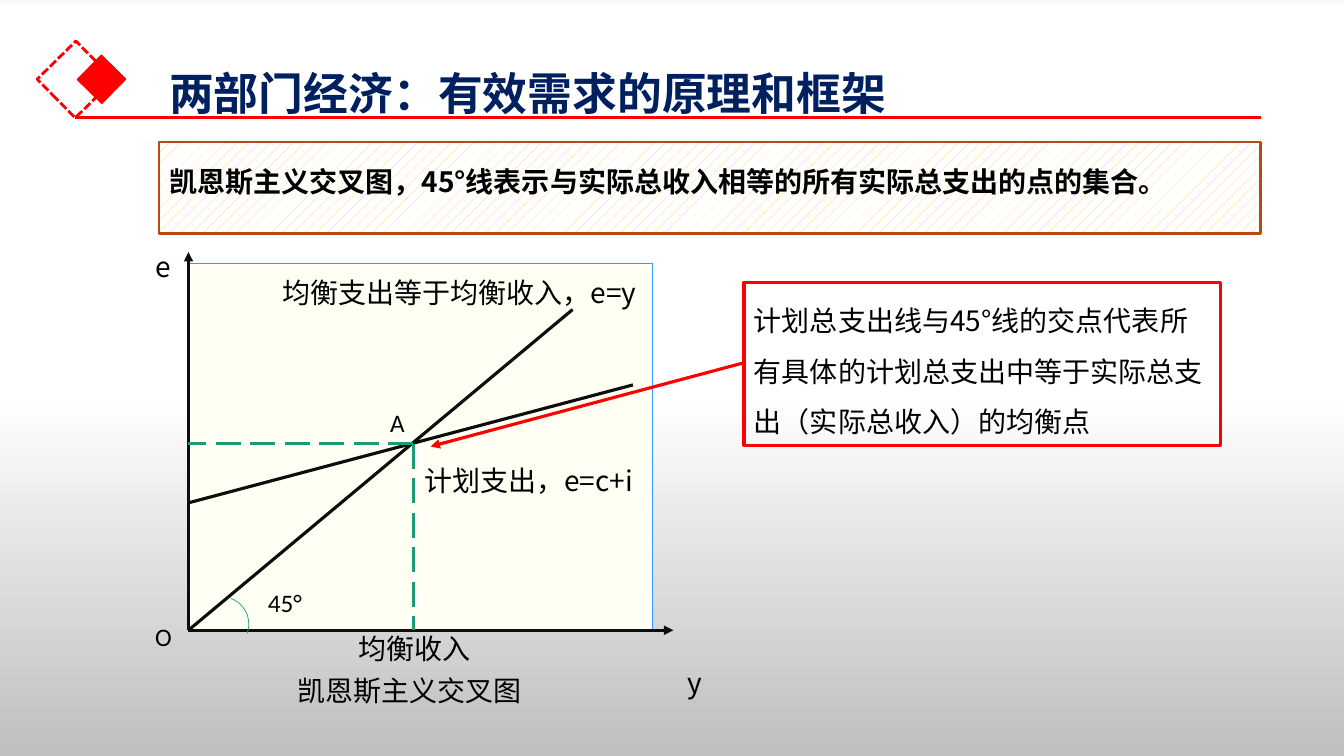
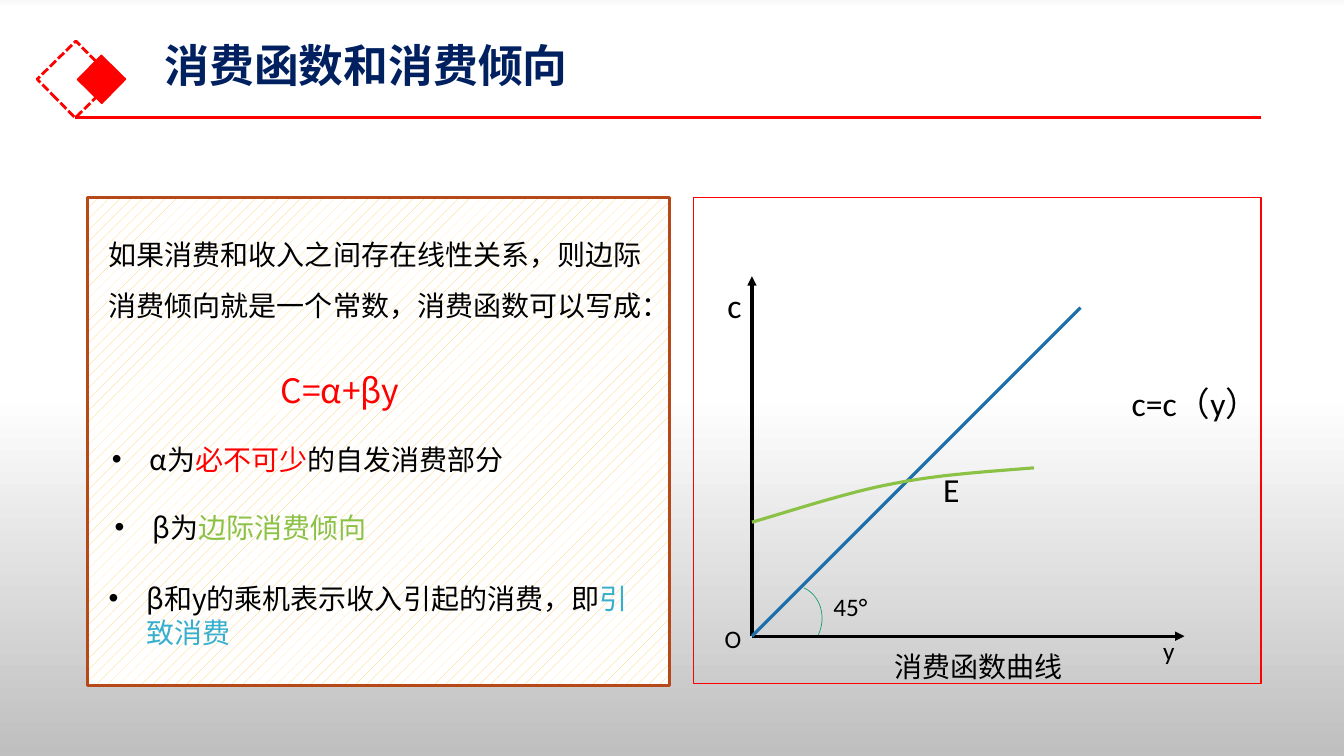
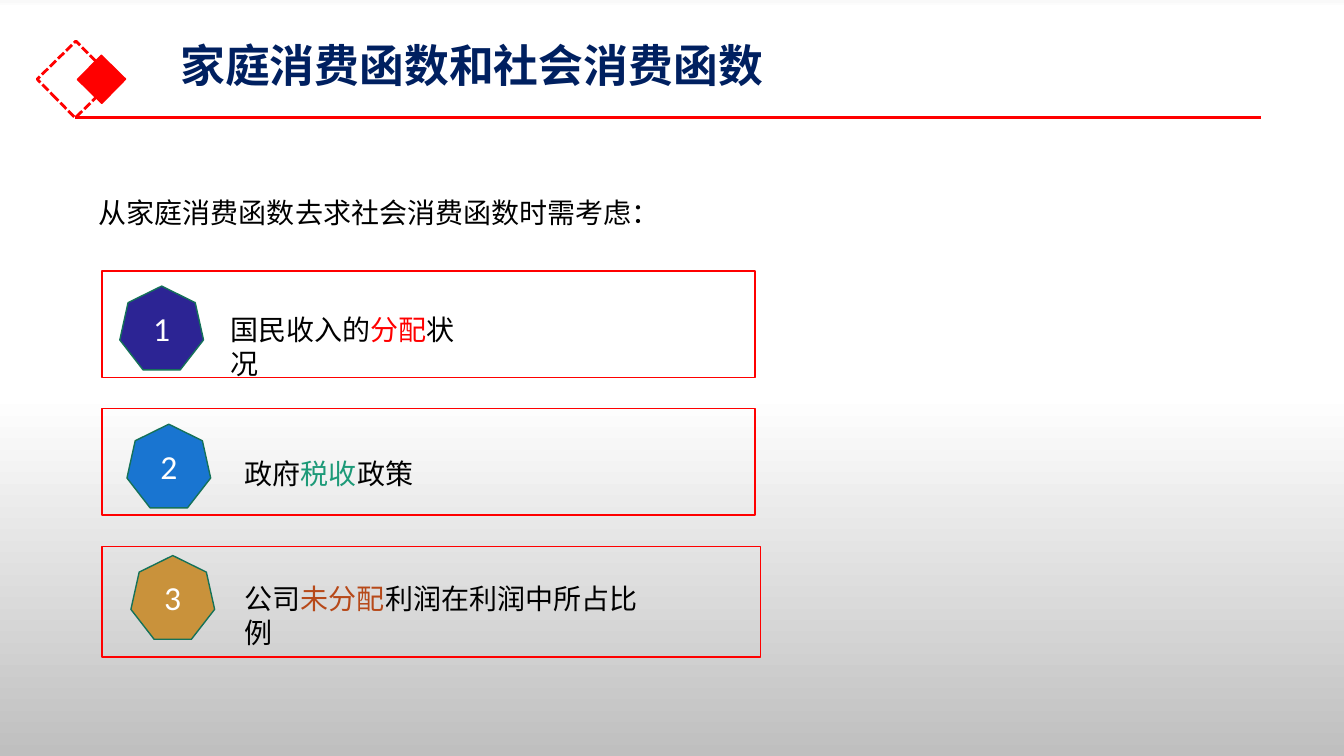
from copy import deepcopy

from lxml.etree import SubElement
from pptx import Presentation
from pptx.dml.color import RGBColor
from pptx.enum.dml import MSO_LINE as Dash, MSO_PATTERN as Pattern
from pptx.enum.shapes import MSO_CONNECTOR as Connector, MSO_SHAPE as Shape
from pptx.enum.text import MSO_ANCHOR as Anchor, MSO_AUTO_SIZE as AutoSize, PP_ALIGN as Align
from pptx.oxml.ns import qn
from pptx.util import Cm, Pt

# Shared colours and fonts
RED = RGBColor(0xFF, 0x00, 0x00)
NAVY = RGBColor(0x00, 0x20, 0x60)
BLACK = RGBColor(0x00, 0x00, 0x00)
WHITE = RGBColor(0xFF, 0xFF, 0xFF)
INK = RGBColor(0x0D, 0x0D, 0x0D)
RUST = RGBColor(0xB7, 0x49, 0x19)
SAND = RGBColor(0xFF, 0xCC, 0x66)
IVORY = RGBColor(0xFF, 0xFF, 0xF3)
SKY = RGBColor(0x33, 0x99, 0xFF)
TEAL = RGBColor(0x1D, 0x9A, 0x78)
DARK_TEAL = RGBColor(0x15, 0x72, 0x59)
BLUE = RGBColor(0x1D, 0x6F, 0xA9)
GREEN = RGBColor(0x8B, 0xC1, 0x45)
CYAN = RGBColor(0x36, 0xAF, 0xCE)
INDIGO = RGBColor(0x2C, 0x24, 0x94)
AZURE = RGBColor(0x19, 0x75, 0xD1)
OCHRE = RGBColor(0xC9, 0x92, 0x3B)
PALE = RGBColor(0xF9, 0xF9, 0xF9)
GREY = RGBColor(0xBF, 0xBF, 0xBF)

HAN = "Noto Sans CJK SC"
LATIN = "Calibri"
BACKDROP = [(0, PALE), (0.01, WHITE), (0.52, WHITE), (1, GREY)]


# Text
def add_span(para, text, size=20, color=BLACK, font=HAN, bold=False):
    span = para.add_run()
    span.text = text
    span.font.size = Pt(size)
    span.font.bold = bold
    span.font.color.rgb = color
    span.font.name = font
    SubElement(span.font._element, qn("a:ea")).set("typeface", HAN)


def add_bullet(para, indent):
    props = para._p.get_or_add_pPr()
    props.set("marL", str(indent))
    props.set("indent", str(-indent))
    SubElement(props, qn("a:buFont")).set("typeface", "Arial")
    SubElement(props, qn("a:buChar")).set("char", "•")


def add_text(page, left, top, width, content, size=20, font=HAN,
             color=BLACK, bold=False, spacing=None, bullet=False):
    """Content is a string, or a list of (text, colour) runs."""
    box = page.shapes.add_textbox(Cm(left), Cm(top), Cm(width), Cm(1.12))
    frame = box.text_frame
    frame.word_wrap = True
    frame.auto_size = AutoSize.SHAPE_TO_FIT_TEXT
    para = frame.paragraphs[0]
    if spacing:
        para.line_spacing = spacing
    if bullet:
        add_bullet(para, Cm(0.95))
    runs = [(content, color)] if isinstance(content, str) else content
    for text, run_color in runs:
        add_span(para, text, size, run_color, font, bold)


# Shapes and lines
def style_line(line, color, weight, dash=None):
    line.color.rgb = color
    line.width = Pt(weight)
    if dash:
        line.dash_style = dash


def add_figure(page, kind, left, top, width, height, color, weight,
               fill=None, dash=None, turn=0):
    figure = page.shapes.add_shape(kind, Cm(left), Cm(top), Cm(width), Cm(height))
    figure.shadow.inherit = False
    figure.rotation = turn
    if fill is None:
        figure.fill.background()
    else:
        figure.fill.solid()
        figure.fill.fore_color.rgb = fill
    style_line(figure.line, color, weight, dash)
    return figure


def add_hatched_panel(page, left, top, width, height):
    panel = add_figure(page, Shape.RECTANGLE, left, top, width, height, RUST, 1.75)
    panel.fill.patterned()
    panel.fill.pattern = Pattern.PERCENT_10
    panel.fill.fore_color.rgb = SAND
    panel.fill.back_color.rgb = WHITE


def add_line(page, start, end, color, weight=2.25, dash=None, arrow=False):
    line = page.shapes.add_connector(
        Connector.STRAIGHT, *(Cm(value) for value in (*start, *end)))
    style_line(line.line, color, weight, dash)
    props = line._element.spPr
    if arrow:
        SubElement(props.find(qn("a:ln")), qn("a:tailEnd")).set("type", "triangle")
    SubElement(props, qn("a:effectLst"))


def add_axes(page, origin, right, top, color):
    add_line(page, origin, (right, origin[1]), color, arrow=True)
    add_line(page, origin, (origin[0], top), color, arrow=True)


def bezier(points, steps=16):
    """Points along a cubic curve, the first one left out."""
    for step in range(1, steps + 1):
        t = step / steps
        weights = ((1 - t) ** 3, 3 * t * (1 - t) ** 2, 3 * t * t * (1 - t), t ** 3)
        yield tuple(sum(w * point[axis] for w, point in zip(weights, points))
                    for axis in (0, 1))


def add_curve(page, points, color):
    """Points are a start, then two handles and an end for each part."""
    outline = page.shapes.build_freeform(*(Cm(v) for v in points[0]))
    for first in range(0, len(points) - 1, 3):
        outline.add_line_segments(
            [(Cm(x), Cm(y)) for x, y in bezier(points[first:first + 4])], close=False)
    curve = outline.convert_to_shape()
    curve.shadow.inherit = False
    curve.fill.background()
    style_line(curve.line, color, 2.25)


# Parts every slide shares
def set_backdrop(deck):
    master = deck.slide_master
    fill = master.background.fill
    fill.gradient()
    fill.gradient_angle = 270
    stop_list = master.element.find(".//" + qn("a:gsLst"))
    while len(stop_list) < len(BACKDROP):
        stop_list.append(deepcopy(stop_list[0]))
    for stop, (position, color) in zip(fill.gradient_stops, BACKDROP):
        stop.position = position
        stop.color.rgb = color


def add_page(deck, title, left, top):
    page = deck.slides.add_slide(deck.slide_layouts.get_by_name("Title Only"))
    heading = page.shapes.title
    heading.left, heading.top = Cm(left), Cm(top)
    heading.width, heading.height = Cm(29.21), Cm(1.47)
    frame = heading.text_frame
    frame.word_wrap = True
    frame.auto_size = AutoSize.NONE
    frame.vertical_anchor = Anchor.MIDDLE
    para = frame.paragraphs[0]
    para.alignment = Align.LEFT
    para.line_spacing = 0.9
    add_span(para, title, 32, NAVY, bold=True)
    # Diamond emblem and rule
    add_figure(page, Shape.RECTANGLE, 1.22, 1.32, 1.37, 1.37, RED, 2,
               dash=Dash.SQUARE_DOT, turn=45.5)
    add_figure(page, Shape.RECTANGLE, 2.13, 1.57, 0.86, 0.86, RED, 1,
               fill=RED, turn=314.5)
    add_line(page, (1.9, 2.97), (31.78, 2.97), RED)
    return page


# Slides
def add_cross_slide(deck):
    page = add_page(deck, "两部门经济：有效需求的原理和框架", 4.01, 1.68)
    add_hatched_panel(page, 4.01, 3.58, 27.76, 2.31)
    add_text(page, 4.01, 4.01, 26.5,
             "凯恩斯主义交叉图，45°线表示与实际总收入相等的所有实际总支出的点的集合。", bold=True)

    # Diagram
    add_figure(page, Shape.RECTANGLE, 4.72, 6.65, 11.73, 9.22, SKY, 0.75, fill=IVORY)
    origin, balance = (4.75, 15.88), (10.41, 11.18)
    add_axes(page, origin, 16.97, 6.35, INK)
    add_line(page, origin, (14.43, 7.8), INK)
    add_line(page, (4.75, 12.67), (15.95, 9.7), INK)
    for foot in ((origin[0], balance[1]), (balance[0], origin[1])):
        add_line(page, balance, foot, TEAL, dash=Dash.LONG_DASH)
    add_figure(page, Shape.ARC, 4.9, 15.04, 1.37, 1.37, TEAL, 0.5, turn=20)

    # Labels
    for left, top, width, text in (
        (6.86, 6.83, 9.8, "均衡支出等于均衡收入，e=y"),
        (10.44, 11.56, 6.1, "计划支出，e=c+i"),
        (8.79, 15.8, 3.4, "均衡收入"),
        (3.68, 6.17, 1.14, "e"),
        (17.07, 16.64, 0.9, "y"),
        (7.24, 16.84, 6.3, "凯恩斯主义交叉图"),
    ):
        add_text(page, left, top, width, text)
    for left, top, width, text in (
        (9.58, 10.13, 0.9, "A"),
        (6.5, 14.68, 1.5, "45°"),
        (3.66, 15.54, 0.95, "O"),
    ):
        add_text(page, left, top, width, text, 18, LATIN)

    # Callout
    callout = add_figure(page, Shape.RECTANGLE, 18.75, 7.11, 12.01, 4.11, RED, 2.25)
    frame = callout.text_frame
    frame.word_wrap = True
    frame.vertical_anchor = Anchor.TOP
    para = frame.paragraphs[0]
    para.alignment = Align.LEFT
    para.line_spacing = 1.5
    add_span(para, "计划总支出线与45°线的交点代表所有具体的计划总支出中等于"
                   "实际总支出（实际总收入）的均衡点")
    add_line(page, (18.75, 9.14), (10.85, 11.25), RED, arrow=True)


def add_function_slide(deck):
    page = add_page(deck, "消费函数和消费倾向", 3.89, 0.97)

    # Explanation
    add_hatched_panel(page, 2.21, 4.98, 14.66, 12.29)
    add_text(page, 2.49, 5.44, 14.25,
             "如果消费和收入之间存在线性关系，则边际消费倾向就是一个常数，消费函数可以写成：",
             spacing=1.5)
    add_text(page, 6.83, 9.19, 4.04, "C=α+βy", 24, color=RED)
    for left, top, width, runs in (
        (2.57, 11.02, 10.49,
         [("α为", BLACK), ("必不可少", RED), ("的自发消费部分", BLACK)]),
        (2.64, 12.73, 6.88, [("β为", BLACK), ("边际消费倾向", GREEN)]),
        (2.49, 14.53, 13.97,
         [("β和y的乘机表示收入引起的消费，即", BLACK), ("引致消费", CYAN)]),
    ):
        add_text(page, left, top, width, runs, bullet=True)

    # Diagram
    add_figure(page, Shape.RECTANGLE, 17.48, 4.98, 14.3, 12.24, RED, 1)
    origin = (18.95, 16.03)
    add_axes(page, origin, 29.85, 6.96, BLACK)
    add_line(page, origin, (27.23, 7.75), BLUE)
    add_curve(page, [(18.95, 13.16), (19.76, 12.93), (21.36, 12.4), (22.5, 12.19),
                     (23.65, 11.96), (24.84, 11.89), (26.06, 11.79)], GREEN)
    add_figure(page, Shape.ARC, 19.05, 14.73, 1.65, 1.85, TEAL, 0.5, turn=24.5)

    # Labels
    for left, top, width, text, size in (
        (23.52, 11.68, 0.95, "E", 24),
        (18.08, 7.06, 0.87, "c", 24),
        (28.27, 9.52, 3.76, "c=c（y）", 24),
        (18.01, 15.57, 0.95, "O", 18),
        (29.06, 15.88, 0.81, "y", 18),
        (20.75, 14.78, 1.5, "45°", 18),
    ):
        add_text(page, left, top, width, text, size, LATIN)
    add_text(page, 22.3, 16.23, 4.8, "消费函数曲线")


def add_badge(page, left, top, number, fill):
    badge = add_figure(page, Shape.HEPTAGON, left, top, 2.11, 2.11, DARK_TEAL, 1, fill=fill)
    badge.text_frame.vertical_anchor = Anchor.MIDDLE
    para = badge.text_frame.paragraphs[0]
    para.alignment = Align.CENTER
    add_span(para, str(number), 24, WHITE, LATIN)


def add_society_slide(deck):
    page = add_page(deck, "家庭消费函数和社会消费函数", 4.29, 0.97)
    add_text(page, 2.24, 4.8, 19.28, "从家庭消费函数去求社会消费函数时需考虑：")
    # Each factor: frame (top, width, height), badge (left, top, fill),
    # text (left, top, width, line spacing), runs
    factors = (
        ((6.83, 16.46, 2.69), (3.02, 7.21, INDIGO), (5.56, 7.75, 6.86, None),
         [("国民收入的", BLACK), ("分配", RED), ("状况", BLACK)]),
        ((10.29, 16.46, 2.69), (3.2, 10.69, AZURE), (5.92, 10.95, 24.6, 1.5),
         [("政府", BLACK), ("税收", TEAL), ("政策", BLACK)]),
        ((13.77, 16.59, 2.79), (3.3, 14, OCHRE), (5.92, 14.53, 11.1, None),
         [("公司", BLACK), ("未分配", RUST), ("利润在利润中所占比例", BLACK)]),
    )
    for number, (frame, badge, place, runs) in enumerate(factors, 1):
        top, width, height = frame
        add_figure(page, Shape.RECTANGLE, 2.57, top, width, height, RED, 1)
        badge_left, badge_top, fill = badge
        add_badge(page, badge_left, badge_top, number, fill)
        left, text_top, text_width, spacing = place
        add_text(page, left, text_top, text_width, runs, spacing=spacing)


def main():
    deck = Presentation()
    deck.slide_width, deck.slide_height = Cm(33.87), Cm(19.05)
    set_backdrop(deck)
    add_cross_slide(deck)
    add_function_slide(deck)
    add_society_slide(deck)
    deck.save("out.pptx")


if __name__ == "__main__":
    main()
